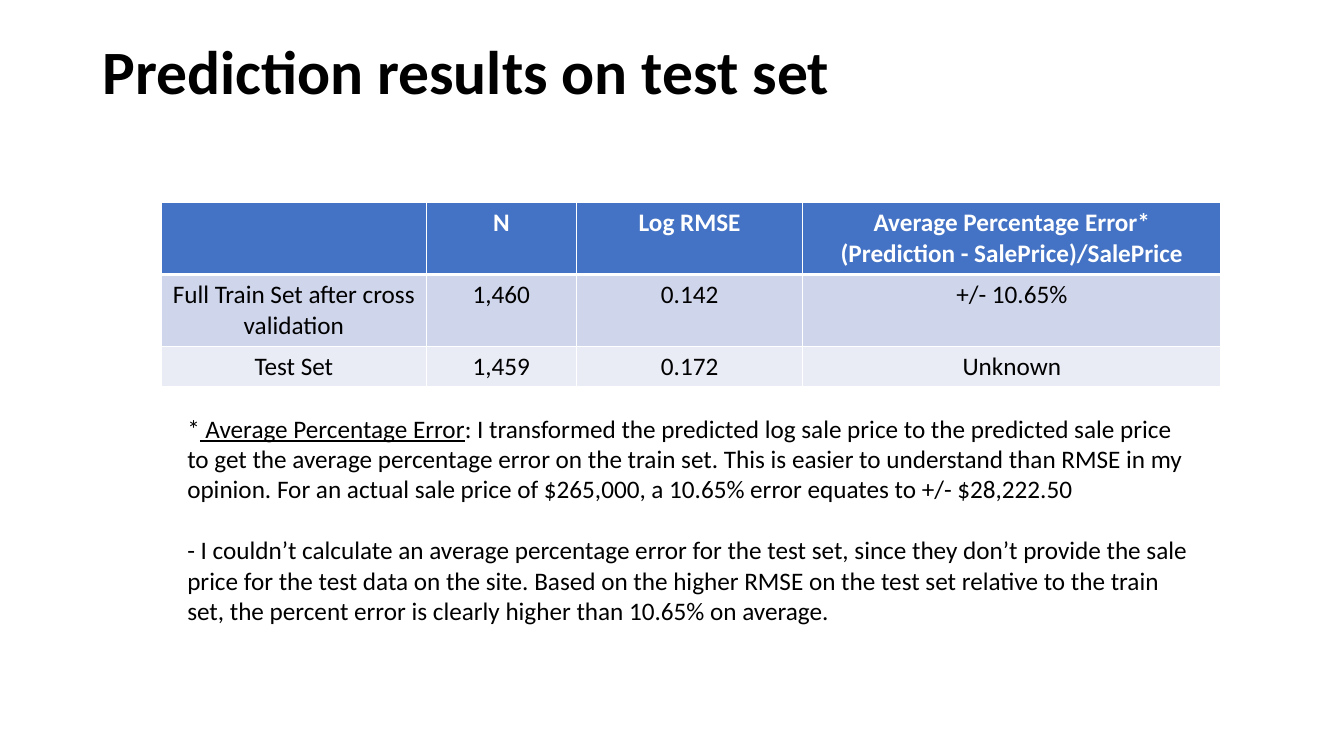
from dataclasses import dataclass

from lxml.etree import SubElement
from pptx import Presentation
from pptx.dml.color import RGBColor as Rgb
from pptx.enum.text import MSO_ANCHOR as Anchor, PP_ALIGN as Align
from pptx.oxml.ns import qn
from pptx.util import Cm, Pt


@dataclass(frozen=True)
class Theme:
    font: str = "Calibri"
    title_size: int = 44
    body_size: int = 18
    note_gap: int = 22
    ink: str = "000000"
    paper: str = "FFFFFF"
    header: str = "4472C4"
    bands: tuple = ("CFD5EA", "E9EBF5")
    rule: int = 1
    header_rule: int = 3


THEME = Theme()

RESULTS = [
    ["", "N", "Log RMSE", "Average Percentage Error*\n(Prediction - SalePrice)/SalePrice"],
    ["Full Train Set after cross validation", "1,460", "0.142", "+/- 10.65%"],
    ["Test Set", "1,459", "0.172", "Unknown"],
]
COLUMN_WIDTHS = [6.67, 3.79, 5.7, 10.54]
ROW_HEIGHTS = [1.81, 1.81, 1.02]

NOTES = [
    [
        ("*", False),
        (" Average Percentage Error", True),
        (": I transformed the predicted log sale price to the predicted sale price to get "
         "the average percentage error on the train set. This is easier to understand than "
         "RMSE in my opinion. For an actual sale price of $265,000, a 10.65% error equates "
         "to +/- $28,222.50", False),
    ],
    [
        ("- I couldn’t calculate an average percentage error for the test set, since they "
         "don’t provide the sale price for the test data on the site. Based on the higher RMSE "
         "on the test set relative to the train set, the percent error is clearly higher than "
         "10.65% on average.", False),
    ],
]


def apply(target, values):
    for name, value in values.items():
        setattr(target, name, value)


def add_span(para, text, size, color, **values):
    span = para.add_run()
    span.text = text
    apply(span.font, {"name": THEME.font, "size": Pt(size), **values})
    span.font.color.rgb = Rgb.from_string(color)


def add_frame(page, box, anchor):
    frame = page.shapes.add_textbox(*map(Cm, box)).text_frame
    apply(frame, {"word_wrap": True, "vertical_anchor": anchor})
    return frame


def add_title(page, box):
    para = add_frame(page, box, Anchor.MIDDLE).paragraphs[0]
    para.line_spacing = 0.9
    add_span(para, "Prediction results on test set", THEME.title_size, THEME.ink, bold=True)


def add_borders(cell, row_index):
    top = THEME.header_rule if row_index == 1 else THEME.rule
    bottom = THEME.header_rule if row_index == 0 else THEME.rule
    sides = {"lnL": THEME.rule, "lnR": THEME.rule, "lnT": top, "lnB": bottom}
    properties = cell._tc.get_or_add_tcPr()
    for side, width in sides.items():
        line = SubElement(properties, qn(f"a:{side}"), w=str(Pt(width)))
        fill = SubElement(line, qn("a:solidFill"))
        SubElement(fill, qn("a:srgbClr"), val=THEME.paper)


def fill_cell(cell, text, row_index):
    is_header = row_index == 0
    add_borders(cell, row_index)
    cell.fill.solid()
    shade = THEME.header if is_header else THEME.bands[(row_index - 1) % 2]
    cell.fill.fore_color.rgb = Rgb.from_string(shade)
    color = THEME.paper if is_header else THEME.ink
    for index, line in enumerate(text.splitlines()):
        frame = cell.text_frame
        para = frame.add_paragraph() if index else frame.paragraphs[0]
        para.alignment = Align.CENTER
        add_span(para, line, THEME.body_size, color, bold=is_header)


def add_results(page, box):
    shape = page.shapes.add_table(len(RESULTS), len(RESULTS[0]), *map(Cm, box))
    table = shape.table
    for column, width in zip(table.columns, COLUMN_WIDTHS):
        column.width = Cm(width)
    for row_index, (row, height) in enumerate(zip(table.rows, ROW_HEIGHTS)):
        row.height = Cm(height)
        for cell, text in zip(row.cells, RESULTS[row_index]):
            fill_cell(cell, text, row_index)


def add_notes(page, box):
    frame = add_frame(page, box, Anchor.TOP)
    for index, note in enumerate(NOTES):
        para = frame.add_paragraph() if index else frame.paragraphs[0]
        para.space_before = Pt(THEME.note_gap if index else 0)
        for text, underline in note:
            add_span(para, text, THEME.body_size, THEME.ink, underline=underline)


def main():
    deck = Presentation()
    apply(deck, {"slide_width": Cm(33.87), "slide_height": Cm(19.05)})
    page = deck.slides.add_slide(deck.slide_layouts[6])
    add_title(page, (2.33, 0.03, 29.21, 3.68))
    add_results(page, (4.07, 5.11, sum(COLUMN_WIDTHS), sum(ROW_HEIGHTS)))
    add_notes(page, (4.47, 10.29, 25.83, 5.64))
    deck.save("out.pptx")


if __name__ == "__main__":
    main()
